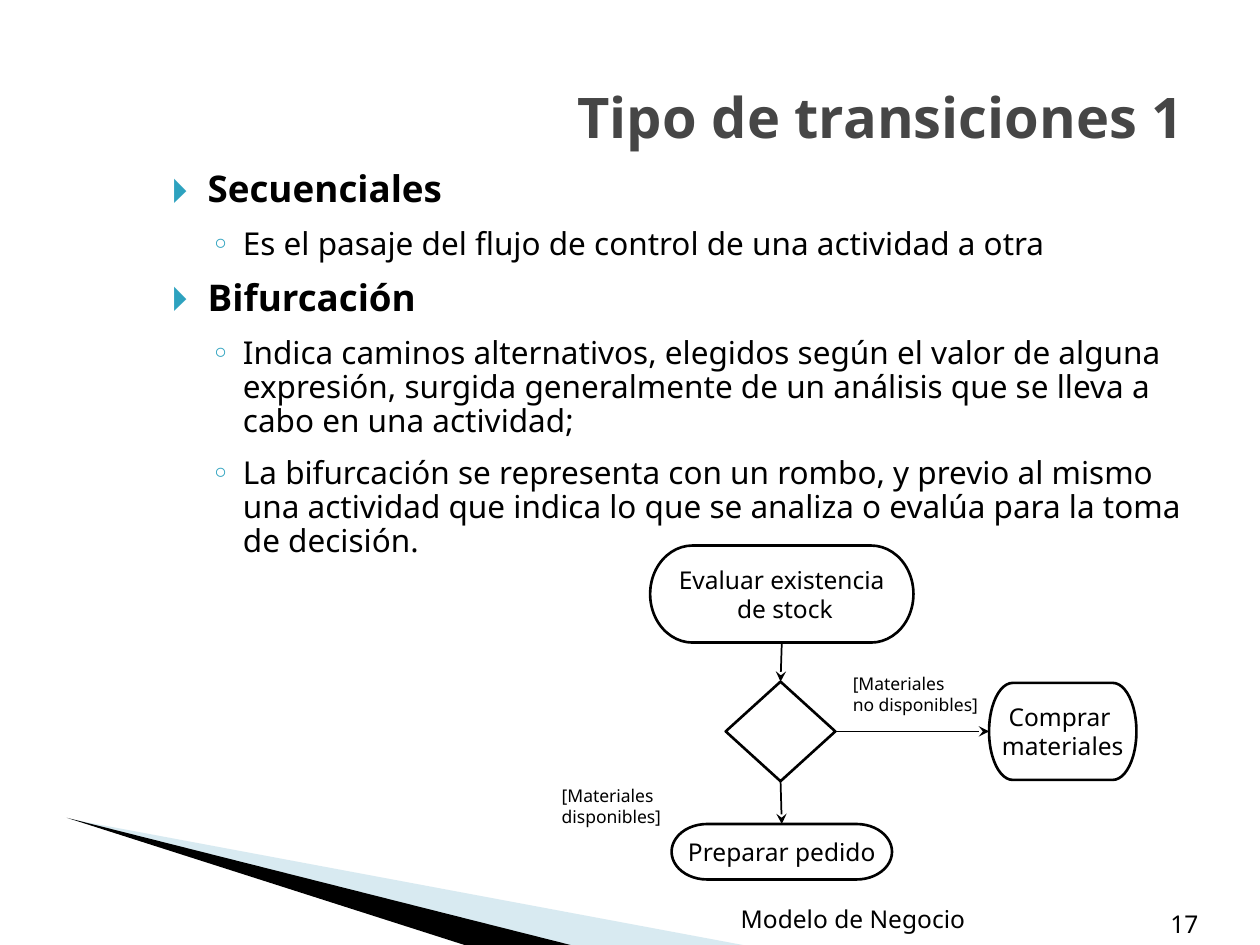
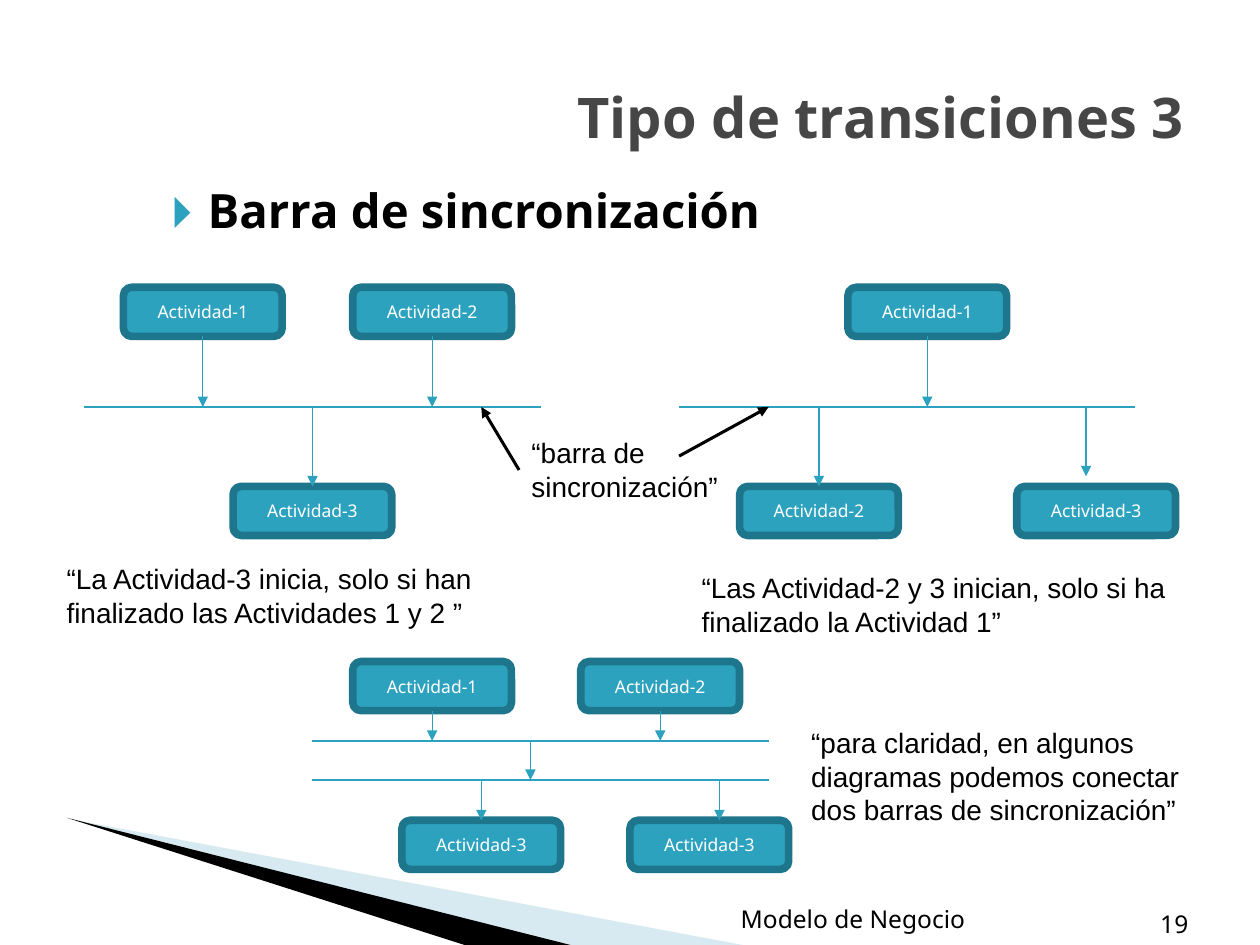
from lxml.etree import SubElement
from pptx import Presentation
from pptx.dml.color import RGBColor
from pptx.enum.shapes import MSO_CONNECTOR as Conn, MSO_SHAPE as Kind
from pptx.enum.text import MSO_ANCHOR as Anchor, PP_ALIGN as Align
from pptx.oxml.ns import qn
from pptx.util import Inches, Pt

TEAL, EDGE, PALE = "2DA2BF", "1E768C", "9FCBDC"
BLACK, WHITE, GREY = "000000", "FFFFFF", "464646"
SANS, ARIAL = "Noto Sans", "Arial"
BULLETS = [("🞂", 0.4, -0.28), ("◦", 0.68, -0.25)]


def paint(part, color):
    """Give a fill, line or font a solid hex colour."""
    if hasattr(part, "solid"):
        part.solid()
        part = part.fore_color
    else:
        part = part.color
    part.rgb = RGBColor.from_string(color)


def write(shape, lines, size, color=BLACK, font=SANS, bold=False,
          align=Align.LEFT, anchor=Anchor.TOP, wrap=True):
    """Write one paragraph per line, all in one style."""
    frame = shape.text_frame
    frame.word_wrap = wrap
    frame.vertical_anchor = anchor
    for i, line in enumerate(lines):
        para = frame.add_paragraph() if i else frame.paragraphs[0]
        para.text = line
        para.alignment = align
        para.font.size = Pt(size)
        para.font.name = font
        para.font.bold = bold
        paint(para.font, color)
    return frame


def label(slide, box, lines, size, **style):
    """Add a text box."""
    shape = slide.shapes.add_textbox(*map(Inches, box))
    return write(shape, lines, size, **style)


def wedge(slide, points, color, alpha=None):
    """Draw a borderless outline through the points."""
    dots = [(Inches(x), Inches(y)) for x, y in points]
    pen = slide.shapes.build_freeform(*dots[0])
    pen.add_line_segments(dots[1:])
    shape = pen.convert_to_shape()
    shape.shadow.inherit = False
    shape.line.fill.background()
    paint(shape.fill, color)
    if alpha:
        tint = shape.fill._xPr.find(".//" + qn("a:srgbClr"))
        SubElement(tint, qn("a:alpha"), val=str(alpha * 1000))


def link(slide, start, end, color, width, head=None):
    """Draw a line between points or (shape, site) pairs."""
    line = slide.shapes.add_connector(Conn.STRAIGHT, 0, 0, 0, 0)
    (a, b), (c, d) = start, end
    if hasattr(a, "shape_type"):
        line.begin_connect(a, b)
    else:
        line.begin_x, line.begin_y = Inches(a), Inches(b)
    if hasattr(c, "shape_type"):
        line.end_connect(c, d)
    else:
        line.end_x, line.end_y = Inches(c), Inches(d)
    paint(line.line, color)
    line.line.width = Pt(width)
    if head:
        SubElement(line.line._get_or_add_ln(), qn("a:tailEnd"), type=head)
    SubElement(line._element.spPr, qn("a:effectLst"))


def frame(deck, title, number, width):
    """Add a slide with its corner wedges, title and footer."""
    slide = deck.slides.add_slide(deck.slide_layouts[5])
    wedge(slide, [(0.55, 6.5), (5.95, 7.51), (4.56, 7.51)], PALE, 40)
    wedge(slide, [(0.53, 6.49), (4.57, 7.51), (3.72, 7.51)], BLACK)
    head = slide.shapes.title
    head.left, head.top, head.width, head.height = map(Inches, (0.5, 0.3, 9, 1.25))
    write(head, [title], 32, GREY, bold=True, align=Align.RIGHT, anchor=Anchor.MIDDLE)
    label(slide, (8.86, 7.1, width, 0.4), [number], 14,
          align=Align.RIGHT, anchor=Anchor.BOTTOM)
    label(slide, (5.39, 7.06, 2.76, 0.4), ["Modelo de Negocio"], 14,
          align=Align.CENTER, anchor=Anchor.BOTTOM)
    return slide


def outline(slide, box, items, sizes, space=1.0):
    """Add a bulleted list of (level, text) items."""
    body = label(slide, box, [text for _, text in items], sizes[0])
    for i, (para, (level, _)) in enumerate(zip(body.paragraphs, items)):
        mark, left, hang = BULLETS[level]
        para.level = level
        para.line_spacing = space
        para.space_before = Pt(10 if i else 0)
        para.font.size = Pt(sizes[level])
        para.font.bold = level == 0
        props = para._p.get_or_add_pPr()
        props.set("marL", str(Inches(left)))
        props.set("indent", str(Inches(hang)))
        rest = props.find(qn("a:defRPr"))
        tint = SubElement(props, qn("a:buClr"))
        SubElement(tint, qn("a:srgbClr"), val=TEAL)
        SubElement(props, qn("a:buFont"), typeface=SANS)
        SubElement(props, qn("a:buChar"), char=mark)
        if rest is not None:
            props.append(rest)


def node(slide, kind, box, lines=()):
    """Add an unfilled flow chart step."""
    shape = slide.shapes.add_shape(kind, *map(Inches, box))
    shape.shadow.inherit = False
    shape.fill.background()
    paint(shape.line, BLACK)
    shape.line.width = Pt(1.5)
    text = write(shape, lines, 14, align=Align.CENTER, anchor=Anchor.MIDDLE, wrap=False)
    text.margin_left = text.margin_right = Inches(0.04)
    text.margin_top = text.margin_bottom = Inches(0.04)
    return shape


def flow(slide, left, top):
    """Draw the stock decision chart."""
    def spot(x, y, *size):
        """Shift a box by the corner of the chart."""
        return (left + x, top + y, *size)

    stock = node(slide, Kind.FLOWCHART_TERMINATOR, spot(0.8, 0, 2.09, 0.77),
                 ["Evaluar existencia", " de stock"])
    choice = node(slide, Kind.FLOWCHART_DECISION, spot(1.4, 1.08, 0.87, 0.79))
    buy = node(slide, Kind.FLOWCHART_TERMINATOR, spot(3.49, 1.09, 1.17, 0.77),
               ["Comprar ", "materiales"])
    order = node(slide, Kind.FLOWCHART_TERMINATOR, spot(0.97, 2.21, 1.75, 0.44),
                 ["Preparar pedido"])
    for start, end in [((stock, 2), (choice, 0)), ((choice, 3), (buy, 1)),
                       ((choice, 2), (order, 0))]:
        link(slide, start, end, BLACK, 1, "stealth")
    label(slide, spot(0, 1.85, 1.55, 0.27), ["[Materiales disponibles]"], 10)
    label(slide, spot(2.31, 0.96, 1.33, 0.44), ["[Materiales", "no disponibles]"], 10)


def task(slide, left, top, name):
    """Add an activity box."""
    shape = slide.shapes.add_shape(
        Kind.ROUNDED_RECTANGLE, *map(Inches, (left, top, 1.26, 0.39)))
    shape.shadow.inherit = False
    paint(shape.fill, TEAL)
    paint(shape.line, EDGE)
    shape.line.width = Pt(4.33)
    write(shape, [name], 10, WHITE, align=Align.CENTER, anchor=Anchor.MIDDLE)
    return shape


def sync(slide, left, top, ins, bars, outs, low):
    """Draw activities that enter and leave synchronisation bars."""
    first, last = top + bars[0], top + bars[-1]
    for bar in bars:
        link(slide, (left, top + bar), (left + 3.62, top + bar), TEAL, 0.75)
    if first != last:
        mid = left + 1.73
        link(slide, (mid, first), (mid, last), TEAL, 0.75, "triangle")
    for x, name in ins:
        shape = task(slide, left + x, top, name)
        link(slide, (shape, 2), (left + x + 0.63, first), TEAL, 0.75, "triangle")
    for x, name, tip in outs:
        shape = task(slide, left + x, top + low, name)
        start, end = left + x + 0.63, (shape, 0)
        if tip:
            start = left + tip[0]
            end = (start, top + tip[1])
        link(slide, (start, last), end, TEAL, 0.75, "triangle")


def branch(deck):
    """Build the slide on sequence and branching."""
    slide = frame(deck, "Tipo de transiciones 1", "17", 0.75)
    outline(slide, (1.15, 1.31, 8.34, 2.81), [
        (0, "Secuenciales"),
        (1, "Es el pasaje del flujo de control de una actividad a otra"),
        (0, "Bifurcación"),
        (1, "Indica caminos alternativos, elegidos según el valor de alguna "
            "expresión, surgida generalmente de un análisis que se lleva a "
            "cabo en una actividad;"),
        (1, "La bifurcación se representa con un rombo, y previo al mismo una "
            "actividad que indica lo que se analiza o evalúa para la toma de "
            "decisión."),
    ], (21, 18), 0.9)
    flow(slide, 4.36, 4.33)


def merge(deck):
    """Build the slide on synchronisation bars."""
    slide = frame(deck, "Tipo de transiciones 3", "19", 0.67)
    outline(slide, (1.15, 1.39, 8.34, 0.66), [(0, "Barra de sincronización")], (27,))
    one, two, three = [f"Actividad-{i}" for i in (1, 2, 3)]
    sync(slide, 0.67, 2.28, [(0.31, one), (2.13, two)], [0.95],
         [(1.18, three, None)], 1.58)
    sync(slide, 5.39, 2.28, [(1.34, one)], [0.95],
         [(0.48, two, None), (2.68, three, (3.23, 1.5))], 1.58)
    sync(slide, 2.48, 5.25, [(0.32, one), (2.13, two)], [0.63, 0.94],
         [(0.71, three, None), (2.52, three, (3.23, 1.26))], 1.26)
    for start, end in [((4.12, 3.73), (3.82, 3.23)), ((5.39, 3.62), (6.1, 3.23))]:
        link(slide, start, end, BLACK, 1.75, "triangle")
    for box, lines in [
        ((4.12, 3.41, 1.76, 0.64), ["“barra de", "sincronización”"]),
        ((0.43, 4.41, 4.02, 0.64),
         ["“La Actividad-3 inicia, solo si han finalizado las Actividades 1 y 2 ”"]),
        ((5.47, 4.48, 4.02, 0.64),
         ["“Las Actividad-2 y 3 inician, solo si ha finalizado la Actividad 1”"]),
        ((6.34, 5.71, 3.47, 0.91),
         ["“para claridad, en algunos diagramas podemos conectar dos barras "
          "de sincronización”"]),
    ]:
        label(slide, box, lines, 16, font=ARIAL)


def main():
    """Build and save the deck."""
    deck = Presentation()
    deck.slide_width, deck.slide_height = Inches(10), Inches(7.5)
    branch(deck)
    merge(deck)
    deck.save("out.pptx")


if __name__ == "__main__":
    main()
